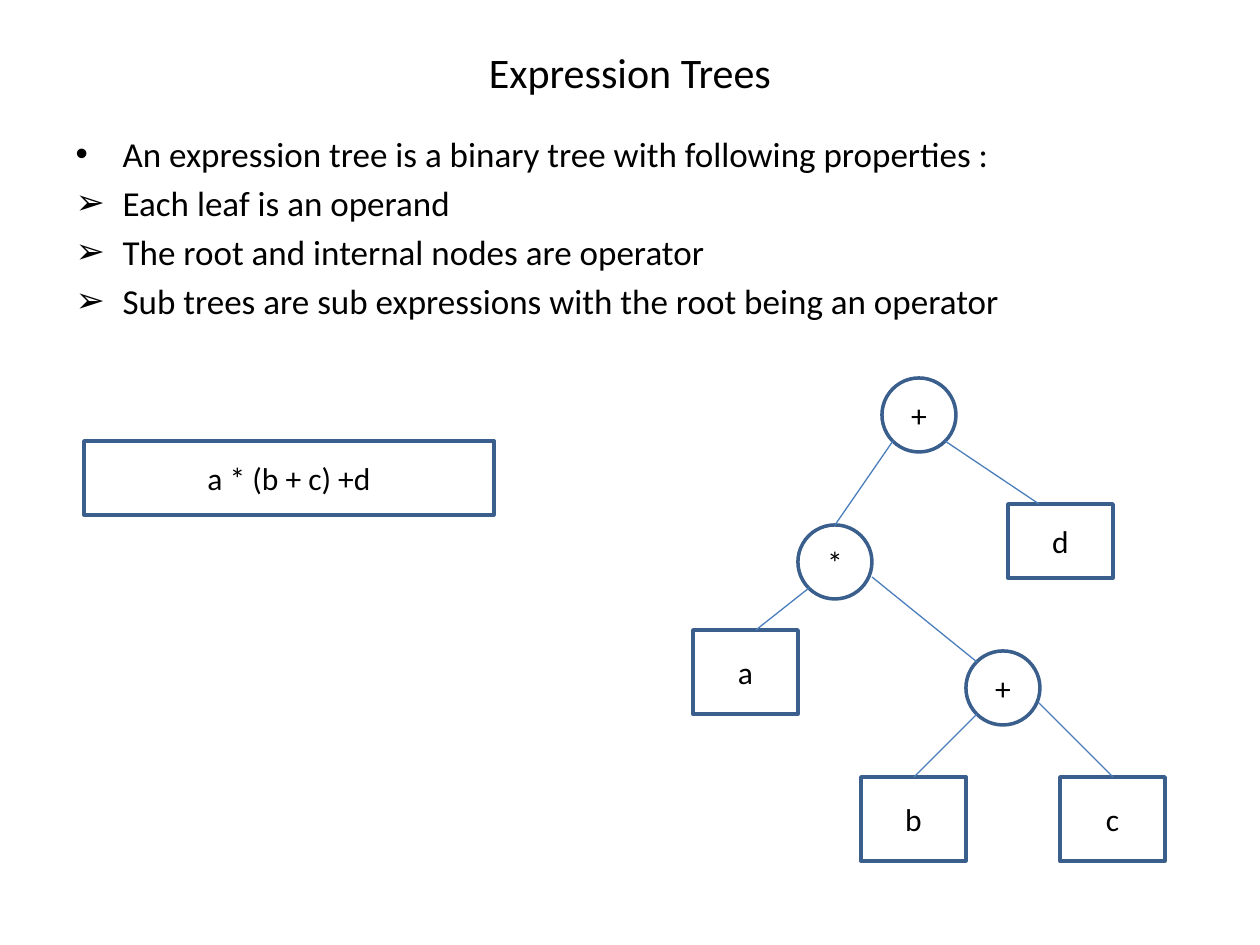
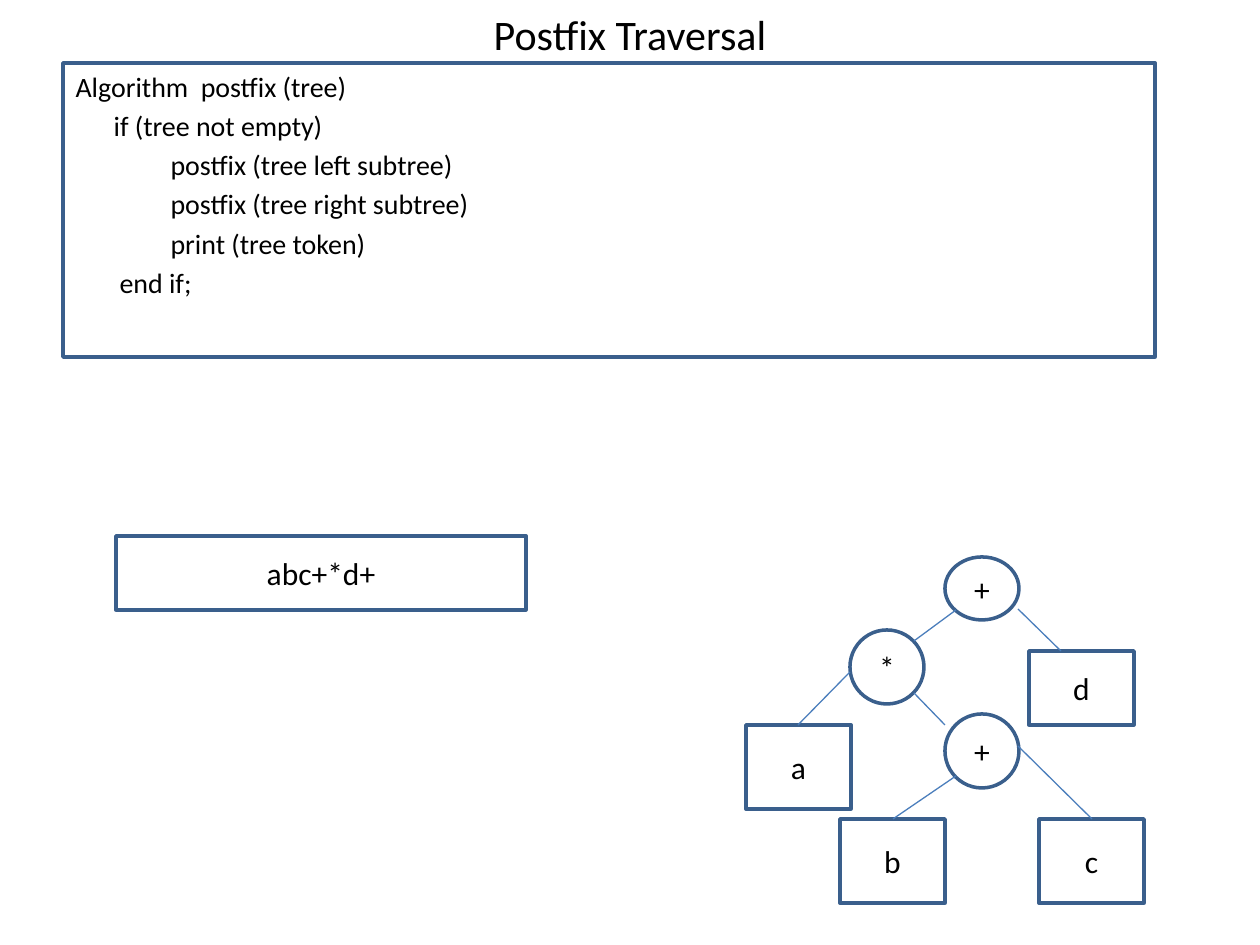
from lxml import etree
from pptx import Presentation
from pptx import util as u
from pptx.dml.color import RGBColor
from pptx.enum import shapes, text
from pptx.oxml.ns import qn

PX = 914400 // 126
COLORS = {"text": "000000", "outline": "3A5F8C", "edge": "4B7EBC"}
FONT = "Calibri"
SIZES = {"title": 24, "bullets": 20, "code": 16, "label": 18}
RECT, OVAL = shapes.MSO_SHAPE.RECTANGLE, shapes.MSO_SHAPE.OVAL
LEFT, WIDTH = 63, 1134
HANG = 47
NODE, LEAF_W, LEAF_H = 74, 105, 84

PROPERTIES = [
    ("•", "An expression tree is a binary tree with following properties :"),
    ("➢", "Each leaf is an operand"),
    ("➢", "The root and internal nodes are operator"),
    ("➢", "Sub trees are sub expressions with the root being an operator"),
]
ALGORITHM = [
    (0, "Algorithm  postfix (tree)"),
    (38, "if (tree not empty)"),
    (95, "postfix (tree left subtree)"),
    (95, "postfix (tree right subtree)"),
    (95, "print (tree token)"),
    (44, "end if;"),
]

INFIX_TREE = {
    "operators": [("+", 882, 378, NODE), ("+", 966, 651, NODE), ("*", 798, 525, NODE)],
    "leaves": [("d", 1008, 504, NODE), ("a", 693, 630, LEAF_H),
               ("b", 861, 777, LEAF_H), ("c", 1060, 777, LEAF_H)],
    "edges": [(893, 441, 835, 525), (945, 441, 1039, 504), (809, 588, 756, 630),
              (872, 577, 977, 662), (977, 714, 914, 777), (1039, 703, 1113, 777)],
}
POSTFIX_TREE = {
    "operators": [("+", 945, 557, 63), ("+", 945, 714, NODE), ("*", 850, 630, NODE)],
    "leaves": [("d", 1029, 651, NODE), ("a", 746, 725, LEAF_H),
               ("b", 840, 819, LEAF_H), ("c", 1039, 819, LEAF_H)],
    "edges": [(956, 610, 914, 641), (1018, 609, 1061, 651), (850, 672, 798, 725),
              (914, 693, 945, 725), (956, 776, 893, 819), (1018, 746, 1092, 819)],
}


def emu(*lengths):
    return [u.Emu(n * PX) for n in lengths]


def rgb(name):
    return RGBColor.from_string(COLORS[name])


def set_all(target, values):
    for name, value in values.items():
        setattr(target, name, value)


def place(sp, *box):
    set_all(sp, dict(zip(("left", "top", "width", "height"), emu(*box))))


def write(p, words, style):
    r = p.add_run()
    r.text = words
    set_all(r.font, {"name": FONT, "size": u.Pt(SIZES[style])})
    r.font.color.rgb = rgb("text")


def add_title(s, words, top):
    sp = s.shapes.title
    place(sp, LEFT, top, WIDTH, 67)
    tf = sp.text_frame
    set_all(tf, {"auto_size": text.MSO_AUTO_SIZE.NONE,
                 "vertical_anchor": text.MSO_ANCHOR.MIDDLE})
    p = tf.paragraphs[0]
    p.alignment = text.PP_ALIGN.CENTER
    write(p, words, "title")


def set_bullet(p, margin, indent, char=None):
    pPr = p._p.get_or_add_pPr()
    pPr.set("marL", str(margin * PX))
    pPr.set("indent", str(indent * PX))
    if char:
        etree.SubElement(pPr, qn("a:buFont")).set("typeface", "Arial")
        etree.SubElement(pPr, qn("a:buChar")).set("char", char)
    else:
        etree.SubElement(pPr, qn("a:buNone"))


def add_body(s, top, lines, style):
    sp = s.placeholders[1]
    place(sp, LEFT, top, WIDTH, 781 if top == LEFT else 718)
    tf = sp.text_frame
    tf.auto_size = text.MSO_AUTO_SIZE.NONE
    for i, (words, *bullet) in enumerate(lines):
        p = tf.add_paragraph() if i else tf.paragraphs[0]
        set_bullet(p, *bullet)
        write(p, words, style)


def add_outline(s, kind, box, words=""):
    sp = s.shapes.add_shape(kind, *emu(*box))
    sp.shadow.inherit = False
    sp.fill.background()
    sp.line.color.rgb = rgb("outline")
    sp.line.width = u.Pt(2)
    if words:
        tf = sp.text_frame
        tf.vertical_anchor = text.MSO_ANCHOR.MIDDLE
        p = tf.paragraphs[0]
        p.alignment = text.PP_ALIGN.CENTER
        write(p, words, "label")


def add_edge(s, ends):
    line = s.shapes.add_connector(shapes.MSO_CONNECTOR.STRAIGHT, *emu(*ends))
    line.line.color.rgb = rgb("edge")
    line.line.width = u.Pt(0.75)
    etree.SubElement(line._element.spPr, qn("a:effectLst"))


def add_tree(s, tree):
    for words, x, y, height in tree["operators"]:
        add_outline(s, OVAL, (x, y, NODE, height), words)
    for words, x, y, height in tree["leaves"]:
        add_outline(s, RECT, (x, y, LEAF_W, height), words)
    for ends in tree["edges"]:
        add_edge(s, ends)


def add_expression(s, x, y, words):
    add_outline(s, RECT, (x, y, 410, NODE), words)


def main():
    prs = Presentation()
    set_all(prs, {"slide_width": u.Inches(10), "slide_height": u.Inches(7.5)})
    layout = prs.slide_layouts[1]

    s = prs.slides.add_slide(layout)
    add_title(s, "Expression Trees", 38)
    add_body(s, 126, [(words, HANG, -HANG, char) for char, words in PROPERTIES], "bullets")
    add_expression(s, 84, 441, "a * (b + c) +d")
    add_tree(s, INFIX_TREE)

    s = prs.slides.add_slide(layout)
    add_title(s, "Postfix Traversal", 0)
    add_body(s, LEFT, [(words, margin, 0) for margin, words in ALGORITHM], "code")
    add_expression(s, 116, 536, "abc+*d+")
    add_tree(s, POSTFIX_TREE)
    add_outline(s, RECT, (LEFT, LEFT, 1092, 294))

    prs.save("out.pptx")


main()
